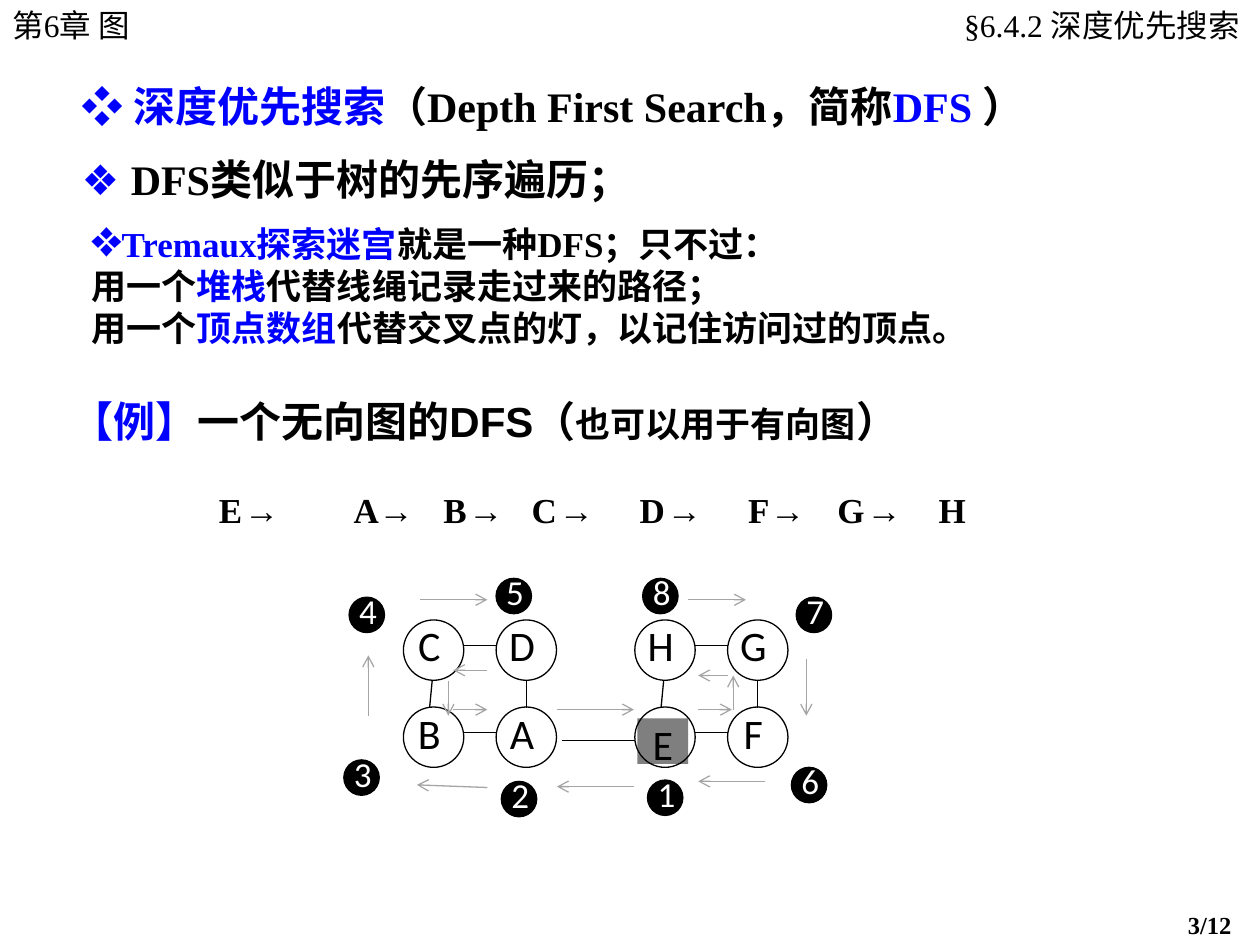
from dataclasses import dataclass

from lxml.etree import SubElement as Sub
from pptx import Presentation
from pptx.dml.color import RGBColor as Rgb
from pptx.enum.shapes import MSO_CONNECTOR as Link, MSO_SHAPE as Kind
from pptx.enum.text import MSO_ANCHOR as Anchor, PP_ALIGN as Align
from pptx.oxml.ns import qn
from pptx.util import Pt


@dataclass(frozen=True)
class Theme:
    ink: str = "000000"
    blue: str = "0000FF"
    white: str = "FFFFFF"
    dark: str = "7F7F7F"
    gray: str = "A5A5A5"
    serif: str = "Times New Roman"
    sans: str = "Arial"
    mono: str = "Courier New"
    node: str = "Calibri"
    big: int = 24
    mid: int = 20
    head: int = 18
    foot: int = 14
    line: float = 0.75


T = Theme()
BLUE = {"color": T.blue}
MARK = {"color": T.blue, "face": T.sans}
PAD = (7.2, 3.6, 7.2, 3.6)
NODE = 34.5
STEP = 53
ROWS = (354.25, 404)
HALVES = ((230.5, ("CD", "BA")), (362.75, ("HG", "EF")))

BADGES = [
    (370, 445.75), (286.5, 446.5), (196.5, 434.25), (199.5, 341.25),
    (283.5, 330.5), (452.25, 438.5), (455, 341.25), (367.25, 330.5),
]
ARROWS = [
    (362.25, 449.5, 318.25, 449.5), (256.25, 389, 256.25, 409),
    (318.25, 405.5, 362.25, 405.5), (416.25, 386, 399, 386),
    (437, 446.5, 399, 446.5), (259, 405.5, 278.5, 405.5),
    (210.5, 409, 210.5, 374.5), (278.5, 450, 238.25, 448.5),
    (419, 405.5, 419, 386), (460.75, 376.5, 460.75, 409),
    (239.75, 342.75, 278.5, 342.75), (278.5, 383, 259, 383),
    (393, 342.75, 426.25, 342.75), (399, 405.5, 418.25, 405.5),
]
ORDER = {"E": 118, "A": 195, "B": 246.25, "C": 296.75,
         "D": 358.5, "F": 420.5, "G": 471.5, "H": 529.25}


def write(shape, *paras, size=T.big, face=T.serif, color=T.ink, bold=False,
          align=Align.LEFT, pad=PAD, mark=None):
    frame = shape.text_frame
    frame.word_wrap = True
    frame.vertical_anchor = Anchor.TOP
    (frame.margin_left, frame.margin_top,
     frame.margin_right, frame.margin_bottom) = map(Pt, pad)
    for i, runs in enumerate(paras):
        para = frame.add_paragraph() if i else frame.paragraphs[0]
        para.alignment = align
        if mark and not i:
            props = para._p.get_or_add_pPr()
            tint = Sub(props, qn("a:buClr"))
            Sub(tint, qn("a:srgbClr"), val=T.blue)
            Sub(props, qn("a:buSzPct"), val="150000")
            Sub(props, qn("a:buChar"), char=mark)
        for part in [runs] if isinstance(runs, str) else runs:
            words, own = (part, {}) if isinstance(part, str) else part
            run = para.add_run()
            run.text = words
            font = run.font
            font.size = Pt(own.get("size", size))
            font.name = own.get("face", face)
            font.color.rgb = Rgb.from_string(own.get("color", color))
            font.bold = bold


def label(shapes, x, y, w, h, *paras, **form):
    write(shapes.add_textbox(Pt(x), Pt(y), Pt(w), Pt(h)), *paras, **form)


def block(shapes, kind, x, y, w, h, fill=None, line=None):
    shape = shapes.add_shape(kind, Pt(x), Pt(y), Pt(w), Pt(h))
    shape.shadow.inherit = False
    if fill:
        shape.fill.solid()
        shape.fill.fore_color.rgb = Rgb.from_string(fill)
    else:
        shape.fill.background()
    if line:
        shape.line.color.rgb = Rgb.from_string(line)
        shape.line.width = Pt(T.line)
    else:
        shape.line.fill.background()
    return shape


def edge(shapes, x1, y1, x2, y2, color=T.ink, arrow=False):
    line = shapes.add_connector(Link.STRAIGHT, Pt(x1), Pt(y1), Pt(x2), Pt(y2))
    line.line.color.rgb = Rgb.from_string(color)
    line.line.width = Pt(T.line)
    props = line._element.spPr
    if arrow:
        Sub(props.find(qn("a:ln")), qn("a:tailEnd"), type="arrow")
    Sub(props, qn("a:effectLst"))


def node(shapes, x, y, name):
    start = name == "E"
    spot = (x + 1.5, y + 6.5, 29) if start else (x, y, 29.5)
    tile = block(shapes, Kind.RECTANGLE, *spot, 26, T.dark if start else T.white)
    write(tile, name, face=T.node, align=Align.CENTER, pad=(0, 0, 0, 0))
    block(shapes, Kind.OVAL, x, y, NODE, NODE, line=T.ink)


def badge(shapes, x, y, num):
    block(shapes, Kind.OVAL, x, y, 20.25, 20.25, T.ink, T.ink)
    label(shapes, x + 5.75, y - 4.25, 17.25, 25.25, str(num), size=T.mid,
          face=T.node, color=T.white, pad=(0, 0, 0, 0))


def graph(shapes):
    for left, names in HALVES:
        for y, row in zip(ROWS, names):
            for i, name in enumerate(row):
                node(shapes, left + i * STEP, y, name)
            edge(shapes, left + NODE, y + 14.5, left + STEP, y + 14.5)
        top, end = ROWS[0] + NODE, ROWS[1] + 0.5
        edge(shapes, left + 70.25, top, left + 70.25, end)
        edge(shapes, left + 16.5, top, left + 15, end)
    edge(shapes, 321, 423, 363, 423)


def tour(shapes):
    for num, (x, y) in enumerate(BADGES, 1):
        badge(shapes, x, y, num)
    for ends in ARROWS:
        edge(shapes, *ends, color=T.gray, arrow=True)


def prose(shapes):
    label(shapes, 0, 0, 125.25, 29, "第6章 图", size=T.head)
    label(shapes, 495.5, 0, 224.5, 29, "§6.4.2 深度优先搜索", size=T.head,
          align=Align.RIGHT, pad=(8.64, 3.6, 11.52, 3.6))
    label(shapes, 39.5, 42.5, 630, 36,
          [("❖ ", MARK), ("深度优先搜索", BLUE), "（Depth First Search，简称",
           ("DFS ", BLUE), "）"], bold=True)
    label(shapes, 39.5, 84.25, 630, 36,
          [("❖ ", MARK), "DFS类似于树的先序遍历；"], bold=True)
    label(shapes, 45.25, 123.75, 523.5, 79.25,
          [("Tremaux探索迷宫", BLUE), "就是一种DFS；只不过："],
          ["用一个", ("堆栈", BLUE), "代替线绳记录走过来的路径；"],
          ["用一个", ("顶点数组", BLUE), "代替交叉点的灯，以记住访问过的顶点。"],
          size=T.mid, bold=True, mark="❖")
    label(shapes, 33.75, 222.5, 584.75, 36,
          [("【例】", BLUE), "一个无向图的DFS（",
           ("也可以用于有向图", {"size": T.mid}), "）"], face=T.sans, bold=True)


def order(shapes):
    for name, x in ORDER.items():
        runs = name if name == "H" else [name + " ", ("→", {"face": T.mono})]
        label(shapes, x, 275.75, 50, 31.75, runs, size=T.mid, bold=True)


def main():
    deck = Presentation()
    deck.slide_width, deck.slide_height = Pt(720), Pt(540)
    shapes = deck.slides.add_slide(deck.slide_layouts[6]).shapes
    prose(shapes)
    graph(shapes.add_group_shape().shapes)
    tour(shapes.add_group_shape().shapes)
    order(shapes)
    label(shapes, 671.75, 516.25, 48.25, 24.5, "3/12", size=T.foot, bold=True)
    deck.save("out.pptx")


if __name__ == "__main__":
    main()
